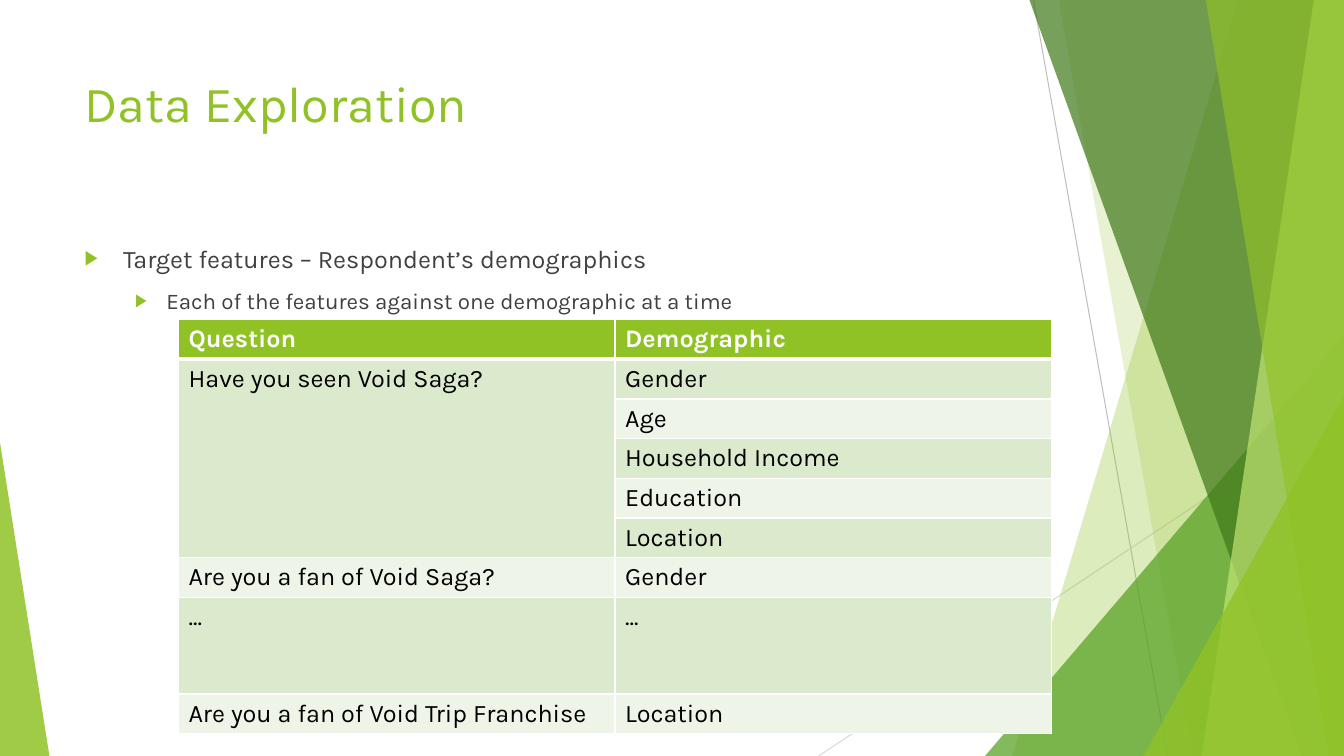
from lxml import etree
from pptx import Presentation
from pptx import util as u
from pptx.dml import color
from pptx.enum import shapes, text
from pptx.oxml import ns

FONT = "Karla"
GREEN = "90C226"
BANDS = ("DBE9CD", "EEF4E8")
SLIDE = (0, 0, 1333, 750)
FACETS = [
    ([(1228, 0), (1333, 0), (1333, 750), (1004, 750)], GREEN, 30),
    ([(1050, 0), (1333, 0), (1333, 750), (1183, 750)], GREEN, 20),
    ((977, 333, 356, 417, 1), "54A021", 72),
    ([(1021, 0), (1333, 0), (1333, 750), (1291, 750)], "3F7819", 70),
    ([(1303, 0), (1333, 0), (1333, 750), (1192, 750)], "C0E474", 70),
    ([(1196, 0), (1333, 0), (1333, 750), (1318, 750)], GREEN, 65),
    ((1134, 393, 199, 357, 1), GREEN, 80),
    ((0, 439, 49, 311, 0), GREEN, 85),
]
RAYS = [((1025, 0), (1158, 750), "BFBFBF"), ((1333, 403), (812, 750), "D9D9D9")]
BULLETS = [
    ("Target features – Respondent’s demographics", 18, 38, 38, 0),
    ("Each of the features against one demographic at a time", 16, 81, 31, 10),
]
QUESTIONS = [
    ("Question", "Demographic"),
    ("Have you seen Void Saga?", "Gender"),
    ("", "Age"),
    ("", "Household Income"),
    ("", "Education"),
    ("", "Location"),
    ("Are you a fan of Void Saga?", "Gender"),
    ("...", "..."),
    ("Are you a fan of Void Trip Franchise", "Location"),
]


def px(length):
    """Turn px, a hundred to the inch, into EMU."""
    return u.Emu(length * 9144)


def rgb(code):
    """Turn a hex string into a colour."""
    return color.RGBColor.from_string(code)


def add(parent, tag, **attributes):
    """Append a drawing element with its attributes."""
    child = etree.SubElement(parent, ns.qn(tag))
    for name, value in attributes.items():
        child.set(name, str(value))
    return child


def style(paragraph, size, code, bold=False):
    """Format the runs of a paragraph."""
    for run in paragraph.runs:
        run.font.name = FONT
        run.font.size = u.Pt(size)
        run.font.bold = bold
        run.font.color.rgb = rgb(code)


def place(holder, box):
    """Move a placeholder to its box and start its text at the top."""
    holder.left, holder.top, holder.width, holder.height = map(px, box)
    frame = holder.text_frame
    frame.word_wrap = True
    frame.auto_size = text.MSO_AUTO_SIZE.NONE
    frame.vertical_anchor = text.MSO_ANCHOR.TOP
    return frame


def add_facet(slide, box, outline, code, opacity):
    """Draw one translucent facet, a polygon or a right triangle."""
    left, top = box[:2]
    if isinstance(outline, list):
        points = [(left + x, top + y) for x, y in outline]
        builder = slide.shapes.build_freeform(*points[0], scale=px(1))
        builder.add_line_segments(points[1:], close=True)
        facet = builder.convert_to_shape()
    else:
        x, y, width, height, apex = outline
        facet = slide.shapes.add_shape(
            shapes.MSO_SHAPE.ISOSCELES_TRIANGLE,
            px(left + x), px(top + y), px(width), px(height))
        facet.adjustments[0] = apex
    facet.shadow.inherit = False
    facet.line.fill.background()
    facet.fill.solid()
    facet.fill.fore_color.rgb = rgb(code)
    tint = facet.fill._xPr.find(ns.qn("a:solidFill"))[0]
    add(tint, "a:alpha", val=opacity * 1000)


def add_backdrop(slide, box):
    """Draw the thin rays and the green facets over them."""
    left, top = box[:2]
    for start, end, code in RAYS:
        ray = slide.shapes.add_connector(
            shapes.MSO_CONNECTOR.STRAIGHT,
            px(left + start[0]), px(top + start[1]),
            px(left + end[0]), px(top + end[1]))
        ray.line.color.rgb = rgb(code)
        ray.line.width = u.Pt(0.75)
        add(ray._element.spPr, "a:effectLst")
    for outline, code, opacity in FACETS:
        add_facet(slide, box, outline, code, opacity)


def add_title(slide, box):
    """Fill the title placeholder."""
    heading = place(slide.shapes.title, box).paragraphs[0]
    heading.text = "Data Exploration"
    heading.alignment = text.PP_ALIGN.LEFT
    style(heading, 36, GREEN)


def add_bullets(slide, box):
    """Fill the body placeholder with the two bullet levels."""
    frame = place(slide.placeholders[1], box)
    frame.text = "\n".join(bullet[0] for bullet in BULLETS)
    for level, (paragraph, bullet) in enumerate(zip(frame.paragraphs, BULLETS)):
        _, size, margin, hanging, before = bullet
        paragraph.level = level
        properties = paragraph._p.get_or_add_pPr()
        properties.set("marL", str(px(margin)))
        properties.set("indent", str(-px(hanging)))
        add(add(properties, "a:buClr"), "a:srgbClr", val=GREEN)
        add(properties, "a:buSzPct", val=80000)
        add(properties, "a:buChar", char="▶")
        paragraph.space_before = u.Pt(before)
        style(paragraph, size, "404040")


def format_cell(cell, row):
    """Give a cell its band, white borders and text format."""
    header = row == 0
    properties = cell._tc.get_or_add_tcPr()
    for side in "LRTB":
        weight = u.Pt(3 if header and side == "B" else 1)
        border = add(properties, f"a:ln{side}", w=weight)
        add(add(border, "a:solidFill"), "a:srgbClr", val="FFFFFF")
    cell.fill.solid()
    cell.fill.fore_color.rgb = rgb(GREEN if header else BANDS[(row - 1) % 2])
    style(cell.text_frame.paragraphs[0], 18,
          "FFFFFF" if header else "000000", header)


def add_questions(slide, box):
    """Build the table of questions and demographics."""
    left, top, width, height = map(px, box)
    table = slide.shapes.add_table(
        len(QUESTIONS), 2, left, top, width, height).table
    for column in table.columns:
        column.width = width // 2
    for row, entries in enumerate(QUESTIONS):
        table.rows[row].height = px(96 if entries[0] == "..." else 39)
        for column, entry in enumerate(entries):
            cell = table.cell(row, column)
            cell.text = entry
            format_cell(cell, row)
    table.cell(1, 0).merge(table.cell(5, 0))


def main():
    """Build and save the slide."""
    deck = Presentation()
    deck.slide_width, deck.slide_height = map(px, SLIDE[2:])
    slide = deck.slides.add_slide(deck.slide_layouts[1])
    add_backdrop(slide, SLIDE)
    add_title(slide, (74, 67, 940, 144))
    add_bullets(slide, (74, 236, 940, 424))
    add_questions(slide, (177, 317, 866, 408))
    deck.save("out.pptx")


if __name__ == "__main__":
    main()
